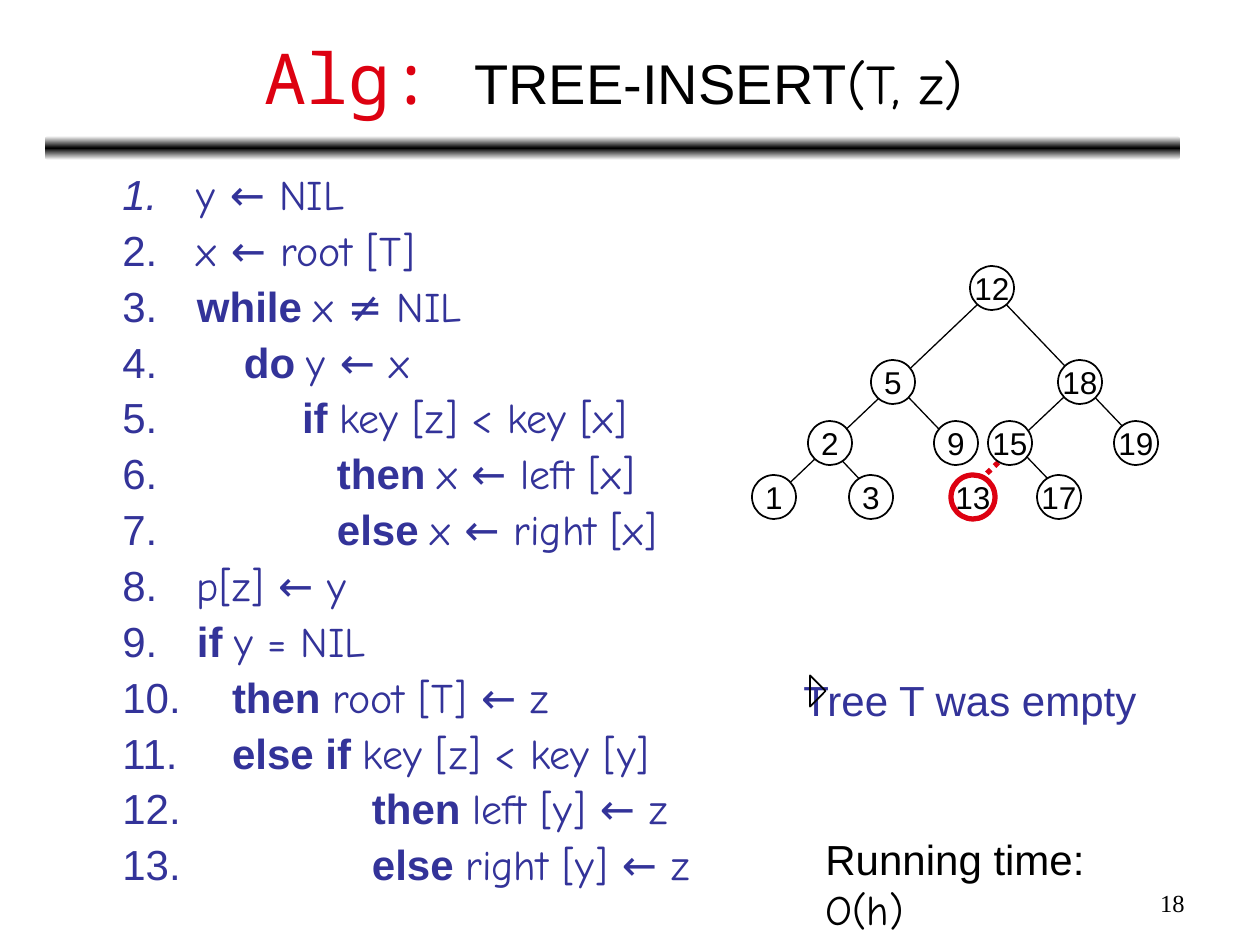
from copy import deepcopy
from dataclasses import dataclass

from lxml.etree import SubElement
from pptx import Presentation
from pptx.dml.color import RGBColor
from pptx.enum.dml import MSO_LINE_DASH_STYLE as Dash
from pptx.enum.shapes import MSO_CONNECTOR as Link, MSO_SHAPE as Form
from pptx.enum.text import MSO_ANCHOR as Anchor, PP_ALIGN as Align
from pptx.oxml.ns import qn
from pptx.util import Emu, Pt

BLACK, WHITE, RED, BLUE = "000000", "FFFFFF", "DD0111", "333399"
SANS, HAND, MONO, SERIF = "Arial", "Comic Neue", "Noto Sans Mono", "Times New Roman"
SIZE = 44
ROWS = (266, 360, 421, 475)
HANG = 63


@dataclass
class Node:
    key: int
    x: int
    row: int
    color: str = BLACK
    width: float = 1


@dataclass
class Edge:
    x1: int
    y1: int
    x2: int
    y2: int
    color: str = BLACK
    width: float = 0.75
    dash: Dash | None = None


@dataclass
class Step:
    inset: int
    word: str
    code: str


NODES = [
    Node(2, 808, 2), Node(1, 752, 3), Node(3, 849, 3), Node(5, 871, 1),
    Node(9, 934, 2), Node(12, 970, 0), Node(18, 1058, 1), Node(15, 988, 2),
    Node(19, 1114, 2), Node(17, 1037, 3), Node(13, 951, 3, RED, 3),
]
EDGES = [
    Edge(964, 495, 1021, 441, RED, 3, Dash.ROUND_DOT),
    Edge(1071, 503, 1003, 432),
    Edge(1011, 447, 1081, 381),
    Edge(882, 503, 815, 432),
    Edge(958, 449, 890, 378),
    Edge(1147, 452, 979, 276),
    Edge(776, 496, 997, 286),
]
STEPS = [
    Step(0, "", "y ← NIL"),
    Step(0, "", "x ← root [T]"),
    Step(0, "while ", "x ≠ NIL"),
    Step(47, "do ", "y ← x"),
    Step(105, "if ", "key [z] < key [x]"),
    Step(140, "then ", "x ← left [x]"),
    Step(140, "else ", "x ← right [x]"),
    Step(0, "", "p[z] ← y"),
    Step(0, "if ", "y = NIL"),
    Step(35, "then ", "root [T] ← z"),
    Step(35, "else if ", "key [z] < key [y]"),
    Step(175, "then ", "left [y] ← z"),
    Step(175, "else ", "right [y] ← z"),
]


def px(n: int) -> Emu:
    return Emu(round(n * 914400 / 126))


def box(*vals: int) -> list[Emu]:
    return [px(n) for n in vals]


def rgb(code: str) -> RGBColor:
    return RGBColor.from_string(code)


def put(item, **form) -> None:
    for name, val in form.items():
        setattr(item, name, val)


def write(para, text: str, face: str, size: int, color: str, **form) -> None:
    run = para.add_run()
    run.text = text
    put(run.font, name=face, size=Pt(size), **form)
    run.font.color.rgb = rgb(color)


def stroke(line, color: str, width: float) -> None:
    line.color.rgb = rgb(color)
    line.width = Pt(width)


def label(shapes, area: tuple, wrap: bool = True):
    frame = shapes.add_textbox(*box(*area)).text_frame
    frame.word_wrap = wrap
    return frame.paragraphs[0]


def join(shapes, edge: Edge) -> None:
    ends = box(edge.x1, edge.y1, edge.x2, edge.y2)
    link = shapes.add_connector(Link.STRAIGHT, *ends)
    stroke(link.line, edge.color, edge.width)
    if edge.dash:
        link.line.dash_style = edge.dash
    SubElement(link._element.spPr, qn("a:effectLst"))


def plant(shapes, node: Node) -> None:
    disc = shapes.add_shape(Form.OVAL, *box(node.x, ROWS[node.row], SIZE, SIZE))
    disc.shadow.inherit = False
    disc.fill.solid()
    disc.fill.fore_color.rgb = rgb(WHITE)
    stroke(disc.line, node.color, node.width)
    put(disc.text_frame, word_wrap=False, vertical_anchor=Anchor.MIDDLE)
    para = disc.text_frame.paragraphs[0]
    para.alignment = Align.CENTER
    write(para, str(node.key), SANS, 18, BLACK)


def number(para, inset: int) -> None:
    props = para._p.get_or_add_pPr()
    props.set("marL", str(px(HANG + inset)))
    props.set("indent", str(-px(HANG + inset)))
    tint = SubElement(props, qn("a:buClr"))
    SubElement(tint, qn("a:srgbClr"), val=BLUE)
    SubElement(props, qn("a:buFont"), typeface=SANS)
    SubElement(props, qn("a:buAutoNum"), type="arabicPeriod")


def list_steps(shapes) -> None:
    para = label(shapes, (110, 168, 1074, 742))
    frame = shapes[-1].text_frame
    for i, step in enumerate(STEPS):
        if i:
            para = frame.add_paragraph()
            para.space_before = Pt(6)
        para.line_spacing = 0.9
        number(para, step.inset)
        write(para, " ", SANS, 24, BLUE, italic=i == 0)
        if step.word:
            write(para, step.word, SANS, 24, BLUE, bold=True)
        write(para, step.code, HAND, 24, BLUE)


def rule(shapes) -> None:
    bar = shapes.add_shape(Form.ROUNDED_RECTANGLE, *box(45, 136, 1135, 24))
    bar.shadow.inherit = False
    bar.line.fill.background()
    bar.fill.gradient()
    bar.fill.gradient_angle = 90
    first = bar._element.spPr.find(".//" + qn("a:gs"))
    first.addnext(deepcopy(first))
    for stop, spot, color in zip(bar.fill.gradient_stops, (0, 0.5, 1), (WHITE, BLACK, WHITE)):
        stop.position = spot
        stop.color.rgb = rgb(color)


def main() -> None:
    deck = Presentation()
    put(deck, slide_width=px(1260), slide_height=px(945))
    slide = deck.slides.add_slide(deck.slide_layouts[5])
    shapes = slide.shapes
    rule(shapes)

    title = shapes.title
    put(title, **dict(zip(("left", "top", "width", "height"), box(47, 14, 1134, 125))))
    title.text_frame.vertical_anchor = Anchor.MIDDLE
    head = title.text_frame.paragraphs[0]
    head.alignment = Align.CENTER
    write(head, "Alg: ", MONO, 40, RED)
    write(head, "TREE-INSERT", SANS, 32, BLACK)
    write(head, "(T, z)", HAND, 32, BLACK)

    list_steps(shapes)
    write(label(shapes, (791, 668, 380, 58)), "Tree T was empty", SANS, 24, BLUE)

    mark = shapes.add_shape(Form.RIGHT_TRIANGLE, *box(799, 680, 22, 22))
    mark.rotation = 225
    mark.shadow.inherit = False
    mark.fill.background()
    stroke(mark.line, BLACK, 1)

    tree = shapes.add_group_shape().shapes
    for edge in EDGES:
        join(tree, edge)
    for node in NODES:
        plant(tree, node)

    cost = label(shapes, (813, 827, 374, 63), False)
    write(cost, "Running time: ", SANS, 24, BLACK)
    write(cost, "O(h)", HAND, 24, BLACK)
    page = label(shapes, (903, 882, 294, 44))
    page.alignment = Align.RIGHT
    write(page, "18", SERIF, 14, BLACK)
    deck.save("out.pptx")


if __name__ == "__main__":
    main()
